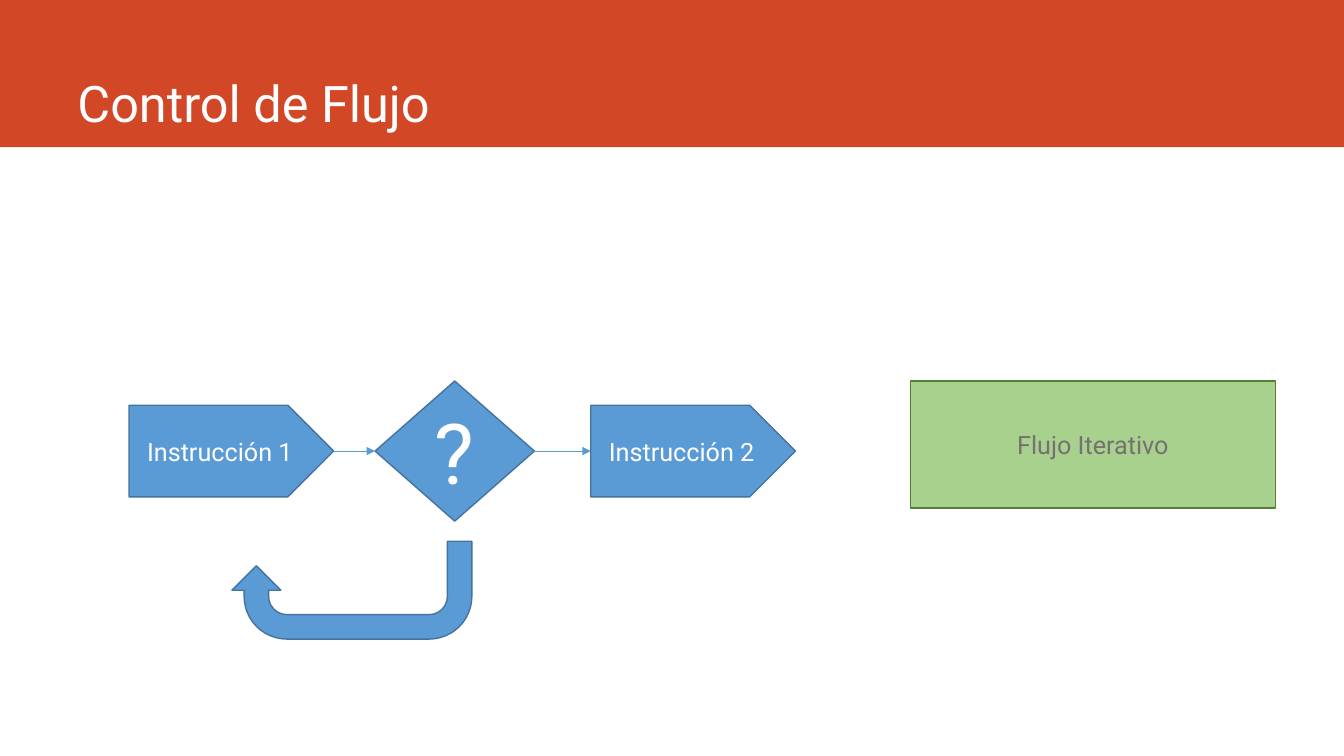
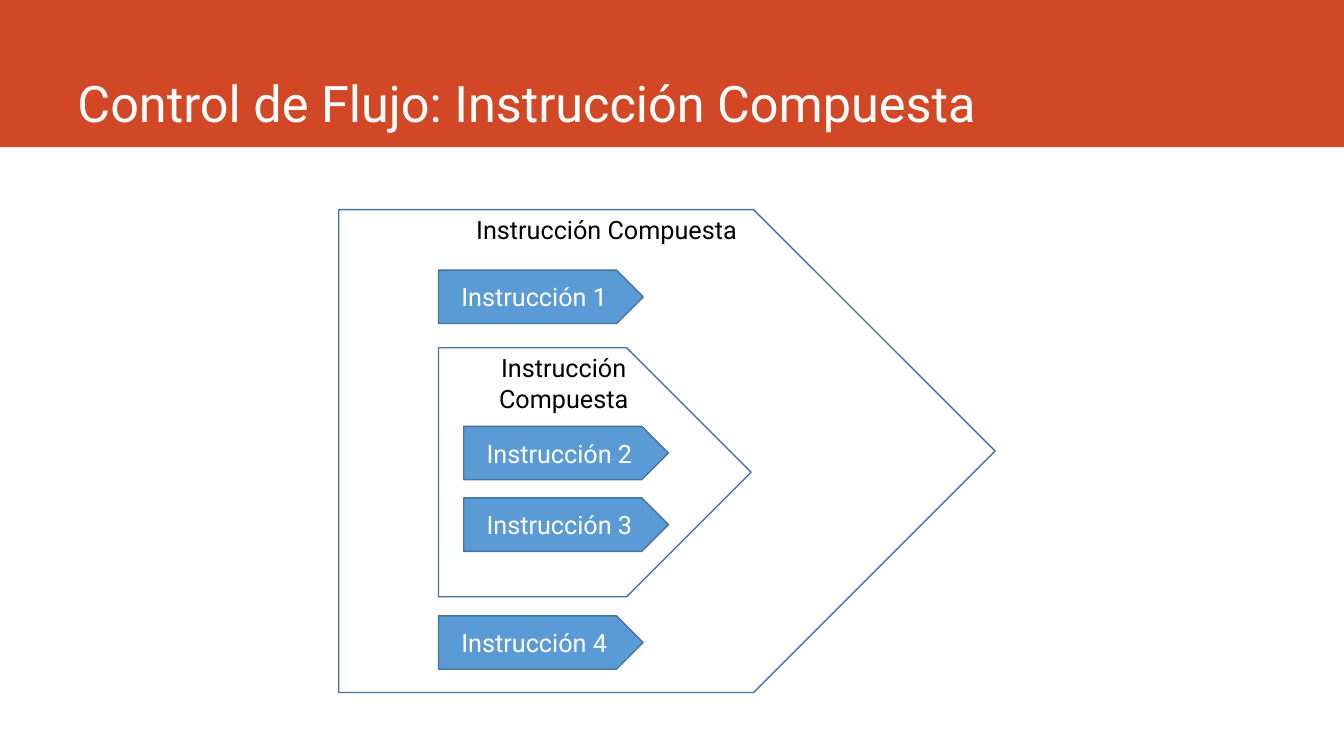
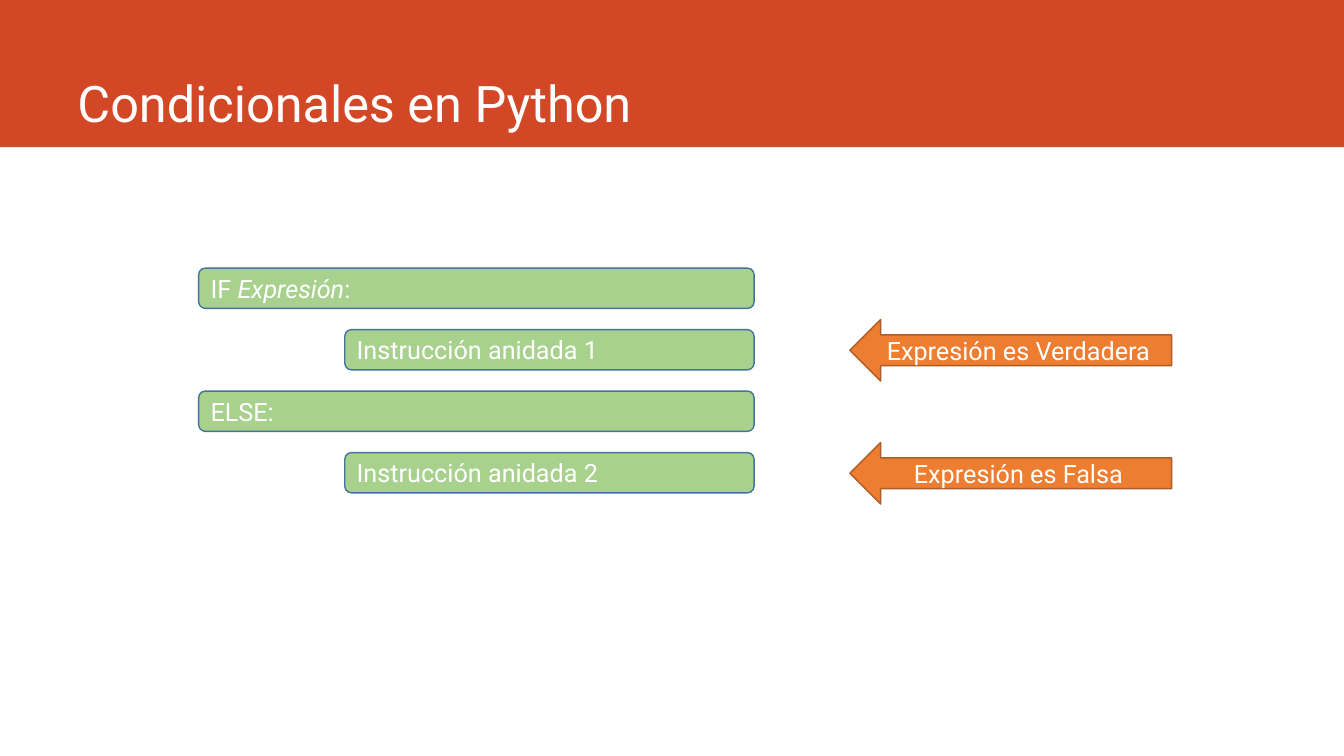
from dataclasses import dataclass
from typing import Optional

from lxml import etree
from pptx import Presentation
from pptx.dml.color import RGBColor
from pptx.enum.shapes import MSO_CONNECTOR, MSO_SHAPE as Geo
from pptx.enum.text import MSO_ANCHOR as Anchor, PP_ALIGN as Align
from pptx.oxml.ns import qn
from pptx.shapes.autoshape import Shape
from pptx.slide import Slide
from pptx.util import Inches, Pt

FONT = "Roboto"
WHITE = RGBColor(0xFF, 0xFF, 0xFF)
BLACK = RGBColor(0, 0, 0)
GRAY = RGBColor(0x76, 0x71, 0x71)
RED = RGBColor(0xD2, 0x47, 0x26)
BLUE = RGBColor(0x5B, 0x9B, 0xD5)
DARK_BLUE = RGBColor(0x43, 0x73, 0x9E)
GREEN = RGBColor(0xA9, 0xD1, 0x8E)
DARK_GREEN = RGBColor(0x53, 0x80, 0x35)
ORANGE = RGBColor(0xED, 0x7D, 0x31)
DARK_ORANGE = RGBColor(0xAF, 0x5C, 0x24)

# Connection sites shared by the pentagon and the diamond
LEFT_SITE, RIGHT_SITE = 1, 3


@dataclass(frozen=True)
class Style:
    geo: Geo
    fill: Optional[RGBColor]
    line: Optional[RGBColor]
    color: RGBColor = WHITE
    size: int = 18
    align: Align = Align.CENTER
    anchor: Anchor = Anchor.MIDDLE


@dataclass(frozen=True)
class Box:
    left: float
    top: float
    width: float
    height: float
    text: str = ""


BAND = Style(Geo.RECTANGLE, RED, None)
INSTRUCTION = Style(Geo.PENTAGON, BLUE, DARK_BLUE)
COMPOUND = Style(Geo.PENTAGON, None, DARK_BLUE, BLACK, anchor=Anchor.TOP)
DECISION = Style(Geo.DIAMOND, BLUE, DARK_BLUE, size=60)
LOOP = Style(Geo.U_TURN_ARROW, BLUE, DARK_BLUE)
FLOW_LABEL = Style(Geo.RECTANGLE, GREEN, DARK_GREEN, GRAY)
CODE = Style(Geo.ROUNDED_RECTANGLE, GREEN, DARK_BLUE, align=Align.LEFT)
NOTE = Style(Geo.LEFT_ARROW, ORANGE, DARK_ORANGE)


def write(s: Shape, text: str, style: Style) -> None:
    """Fill the shape with one paragraph; parts between asterisks are italic."""
    tf = s.text_frame
    tf.word_wrap = True
    tf.vertical_anchor = style.anchor
    p = tf.paragraphs[0]
    p.alignment = style.align
    p.font.name, p.font.size = FONT, Pt(style.size)
    p.font.color.rgb = style.color
    for i, part in enumerate(text.split("*")):
        r = p.add_run()
        r.text = part
        if i % 2:
            r.font.italic = True


def draw(slide: Slide, box: Box, style: Style) -> Shape:
    s = slide.shapes.add_shape(style.geo, Inches(box.left), Inches(box.top),
                               Inches(box.width), Inches(box.height))
    s.shadow.inherit = False
    if style.fill is None:
        s.fill.background()
    else:
        s.fill.solid()
        s.fill.fore_color.rgb = style.fill
    if style.line is None:
        s.line.fill.background()
    else:
        s.line.color.rgb = style.line
        s.line.width = Pt(1)
    if box.text:
        write(s, box.text, style)
    return s


def link(slide: Slide, start: Shape, end: Shape) -> None:
    """Draw an arrow from the right tip of one shape to the left of the next."""
    c = slide.shapes.add_connector(MSO_CONNECTOR.STRAIGHT, 0, 0, 0, 0)
    c.begin_connect(start, RIGHT_SITE)
    c.end_connect(end, LEFT_SITE)
    c.line.color.rgb = BLUE
    c.line.width = Pt(0.5)
    etree.SubElement(c.line._get_or_add_ln(), qn("a:tailEnd"), type="triangle")
    etree.SubElement(c._element.spPr, qn("a:effectLst"))


def add_slide(prs: Presentation, title: str) -> Slide:
    """Add a blank slide with the red band and its title."""
    slide = prs.slides.add_slide(prs.slide_layouts[6])
    draw(slide, Box(0, 0, 13.33, 1.46), BAND)
    s = slide.shapes.add_textbox(Inches(0.67), 0, Inches(11.75), Inches(1.34))
    s.text_frame.margin_bottom = Inches(0.02)
    write(s, title, Style(Geo.RECTANGLE, None, None, size=36,
                          align=Align.LEFT, anchor=Anchor.BOTTOM))
    return slide


def iterative_flow(prs: Presentation) -> None:
    slide = add_slide(prs, "Control de Flujo")
    steps = [
        draw(slide, Box(1.28, 4.02, 2.03, 0.91, "Instrucción 1"), INSTRUCTION),
        draw(slide, Box(3.72, 3.78, 1.58, 1.39, "?"), DECISION),
        draw(slide, Box(5.86, 4.02, 2.03, 0.91, "Instrucción 2"), INSTRUCTION),
    ]
    for start, end in zip(steps, steps[1:]):
        link(slide, start, end)
    loop = draw(slide, Box(2.3, 5.37, 2.38, 0.97), LOOP)
    loop.rotation = 180
    loop.adjustments[4] = 0.75
    draw(slide, Box(9.03, 3.78, 3.62, 1.26, "Flujo Iterativo"), FLOW_LABEL)


def compound_instruction(prs: Presentation) -> None:
    slide = add_slide(prs, "Control de Flujo: Instrucción Compuesta")
    for box in (Box(3.36, 2.08, 6.51, 4.79, "Instrucción Compuesta"),
                Box(4.35, 3.45, 3.1, 2.47, "Instrucción Compuesta")):
        draw(slide, box, COMPOUND)
    places = [(4.35, 2.68), (4.6, 4.23), (4.6, 4.94), (4.35, 6.11)]
    for number, (left, top) in enumerate(places, start=1):
        draw(slide, Box(left, top, 2.03, 0.53, f"Instrucción {number}"), INSTRUCTION)


def python_conditionals(prs: Presentation) -> None:
    slide = add_slide(prs, "Condicionales en Python")
    first_top, step, right = 2.66, 0.61, 7.48
    rows = [
        (1.97, "IF *Expresión*:", ""),
        (3.42, "Instrucción anidada 1", "Expresión es Verdadera"),
        (1.97, "ELSE:", ""),
        (3.42, "Instrucción anidada 2", "Expresión es Falsa"),
    ]
    for i, (left, code, note) in enumerate(rows):
        top = first_top + i * step
        draw(slide, Box(left, top, right - left, 0.4, code), CODE)
        if note:
            draw(slide, Box(8.43, top - 0.1, 3.19, 0.61, note), NOTE)


def main() -> None:
    prs = Presentation()
    prs.slide_width, prs.slide_height = Inches(13.33), Inches(7.5)
    iterative_flow(prs)
    compound_instruction(prs)
    python_conditionals(prs)
    prs.save("out.pptx")


if __name__ == "__main__":
    main()
